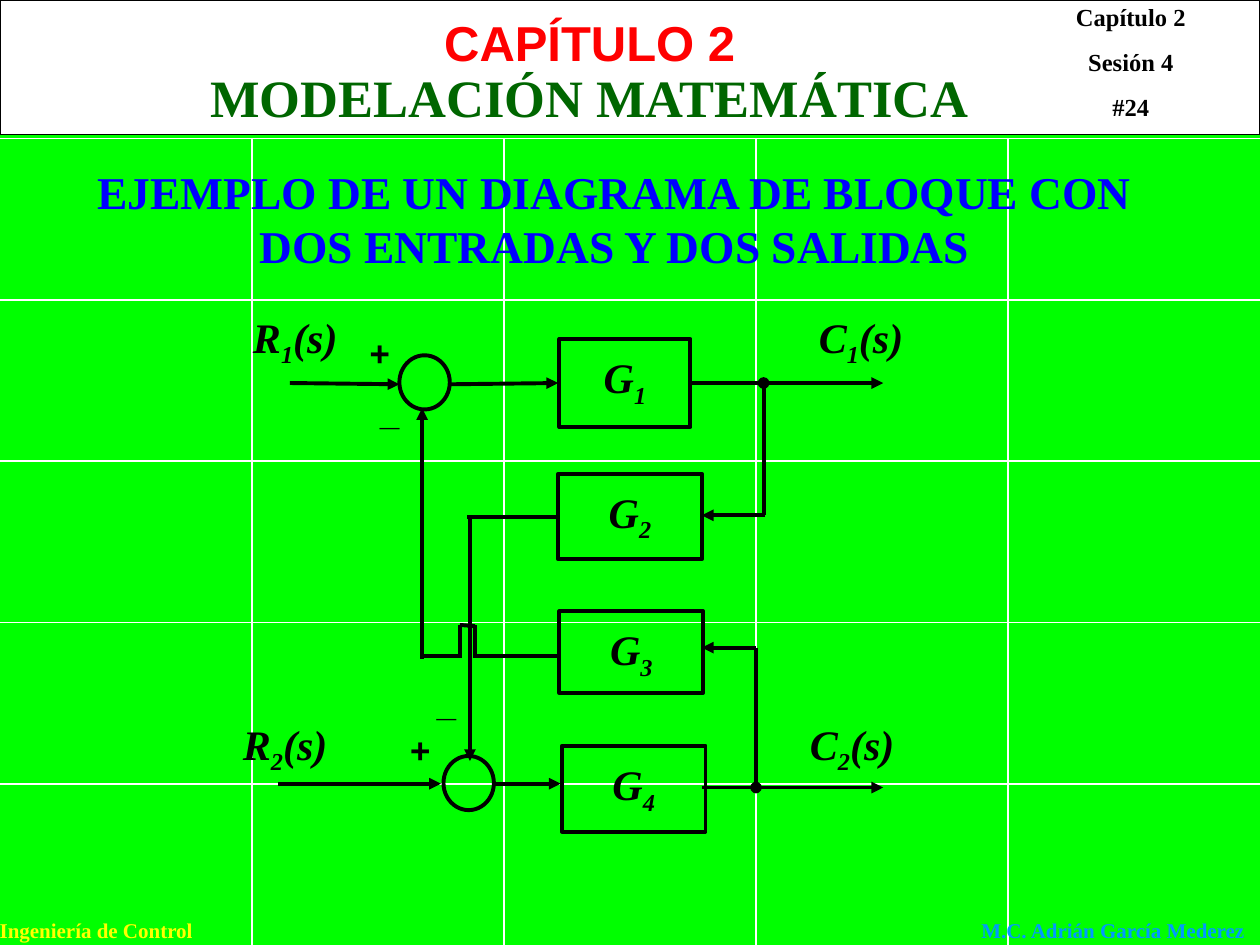
from lxml import etree
from pptx import Presentation
from pptx.dml.color import RGBColor
from pptx.enum import shapes, text
from pptx.oxml.ns import qn
from pptx.util import Inches, Pt

COLORS = {
    "green": "00FF00", "white": "FFFFFF", "black": "000000", "red": "FF0000",
    "blue": "0000FF", "dark_green": "006600", "yellow": "FFFF00", "sky": "0099FF",
}
SERIF, SANS = "Times New Roman", "Arial"
LABEL = {"name": SERIF, "size": Pt(24), "bold": True, "italic": True}
SIGN = {"name": SANS, "size": Pt(20), "bold": True, "italic": True}


def rgb(name):
    return RGBColor.from_string(COLORS[name])


def heading(size, name=SERIF):
    return {"name": name, "size": Pt(size), "bold": True}


def style_font(font, fmt, color):
    for key, value in fmt.items():
        setattr(font, key, value)
    font.color.rgb = rgb(color)


def add_text(s, box, lines, fmt, color, align="LEFT", wrap=True, gap=0):
    tf = s.shapes.add_textbox(*map(Inches, box)).text_frame
    tf.word_wrap = wrap
    for i, line in enumerate(lines):
        p = tf.paragraphs[0] if i == 0 else tf.add_paragraph()
        p.alignment = getattr(text.PP_ALIGN, align)
        p.space_before = Pt(gap if i else 0)
        r = p.add_run()
        r.text = line
        style_font(r.font, fmt, color)


def add_symbol(p, parts):
    """Write a letter, its subscript and whatever follows."""
    for i, part in enumerate(parts):
        r = p.add_run()
        r.text = part
        style_font(r.font, LABEL, "black")
        if i == 1:
            r.font._element.set("baseline", "-25000")


def add_outline(s, kind, box, width, fill=None):
    sp = s.shapes.add_shape(kind, *map(Inches, box))
    sp.shadow.inherit = False
    if fill:
        sp.fill.solid()
        sp.fill.fore_color.rgb = rgb(fill)
    else:
        sp.fill.background()
    sp.line.color.rgb = rgb("black")
    sp.line.width = Pt(width)
    return sp


def add_line(s, ends, color, width, tip=None):
    line = s.shapes.add_connector(shapes.MSO_CONNECTOR.STRAIGHT, *map(Inches, ends))
    line.line.color.rgb = rgb(color)
    line.line.width = Pt(width)
    if tip:
        etree.SubElement(line.line._get_or_add_ln(), qn("a:tailEnd"), type=tip)
    etree.SubElement(line._element.spPr, qn("a:effectLst"))


def grid(s, x, y, w, h):
    for i in range(1, 5):
        add_line(s, (x + i * w / 5, y, x + i * w / 5, y + h), "white", 1)
    for i in range(5):
        row = y + i * 1.28
        add_line(s, (x, row, x + w, row), "white", 1)


def header(s, x, y, w, h):
    add_outline(s, shapes.MSO_SHAPE.RECTANGLE, (x, y, w, h), 0.75, "white")
    add_text(s, (x + 8.15, y - 0.03, 1.65, 1.05), ["Capítulo 2", "Sesión 4", "#24"],
             heading(14), "black", "CENTER", gap=8.8)
    add_text(s, (x + 0.9, y + 0.05, 7.56, 0.57), ["CAPÍTULO 2"],
             heading(28, SANS), "red", "CENTER")
    add_text(s, (x + 0.9, y + 0.47, 7.56, 0.6), ["MODELACIÓN MATEMÁTICA"],
             heading(30), "dark_green", "CENTER")


def footer(s, x, y, h):
    add_text(s, (x - 0.12, y, 1.77, h), ["Ingeniería de Control"],
             heading(12), "yellow", "CENTER", wrap=False)
    add_text(s, (x + 7.69, y, 2.3, h), ["M.C. Adrián García Mederez"],
             heading(12), "sky", wrap=False)


def block_diagram(s, x, y):
    blocks = [("1", 2.64, 0.29, 1.04, 0.7), ("2", 2.63, 1.36, 1.14, 0.68),
              ("3", 2.64, 2.45, 1.14, 0.65), ("4", 2.66, 3.52, 1.14, 0.68)]
    for number, left, top, w, h in blocks:
        sp = add_outline(s, shapes.MSO_SHAPE.RECTANGLE, (x + left, y + top, w, h), 2.25)
        tf = sp.text_frame
        tf.vertical_anchor = text.MSO_ANCHOR.TOP
        tf.margin_top = Inches(0.1)
        p = tf.paragraphs[0]
        p.alignment = text.PP_ALIGN.CENTER
        add_symbol(p, ["G", number])

    for left, top in [(1.37, 0.42), (1.72, 3.6)]:
        add_outline(s, shapes.MSO_SHAPE.OVAL, (x + left, y + top, 0.4, 0.43), 2.25)

    paths = {
        "triangle": [
            (0.5, 0.64, 1.37, 0.65), (1.76, 0.65, 2.63, 0.64), (3.69, 0.64, 5.21, 0.64),
            (4.27, 1.69, 3.77, 1.69), (1.55, 2.83, 1.55, 0.84), (1.93, 1.71, 1.93, 3.64),
            (0.41, 3.82, 1.7, 3.82), (2.11, 3.82, 2.65, 3.82), (3.77, 3.85, 5.21, 3.85),
            (4.2, 2.74, 3.77, 2.74)],
        "oval": [(4.26, 1.69, 4.26, 0.64), (4.2, 2.74, 4.2, 3.85)],
        None: [
            (1.91, 1.7, 2.63, 1.7), (1.54, 2.81, 1.86, 2.81), (1.85, 2.82, 1.85, 2.56),
            (1.85, 2.56, 1.97, 2.57), (1.97, 2.82, 1.97, 2.56), (1.97, 2.81, 2.63, 2.81)],
    }
    for tip, lines in paths.items():
        for x1, y1, x2, y2 in lines:
            add_line(s, (x + x1, y + y1, x + x2, y + y2), "black", 2.25, tip)

    for letter, number, left, top in [("R", "1", 0.11, 0.02), ("C", "1", 4.6, 0.02),
                                      ("R", "2", 0.03, 3.25), ("C", "2", 4.53, 3.25)]:
        tf = s.shapes.add_textbox(*map(Inches, (x + left, y + top, 1.1, 0.55))).text_frame
        tf.word_wrap = True
        add_symbol(tf.paragraphs[0], [letter, number, "(s)"])

    for sign, left, top in [("+", 1.03, 0.18), ("_", 1.13, 0.65),
                            ("+", 1.35, 3.33), ("_", 1.58, 2.96)]:
        add_text(s, (x + left, y + top, 0.49, 0.53), [sign], SIGN, "black")


def main():
    prs = Presentation()
    prs.slide_width, prs.slide_height = Inches(10), Inches(7.5)
    s = prs.slides.add_slide(prs.slide_layouts[6])
    s.background.fill.solid()
    s.background.fill.fore_color.rgb = rgb("green")
    grid(s, 0, 1.1, 10, 6.4)
    header(s, 0, 0, 10, 1.07)
    footer(s, 0, 7.23, 0.3)
    add_text(s, (0.51, 1.25, 8.74, 0.97),
             ["EJEMPLO DE UN DIAGRAMA DE BLOQUE CON DOS ENTRADAS Y DOS SALIDAS"],
             heading(26), "blue", "CENTER")
    block_diagram(s, 1.8, 2.4)
    prs.save("out.pptx")


if __name__ == "__main__":
    main()
